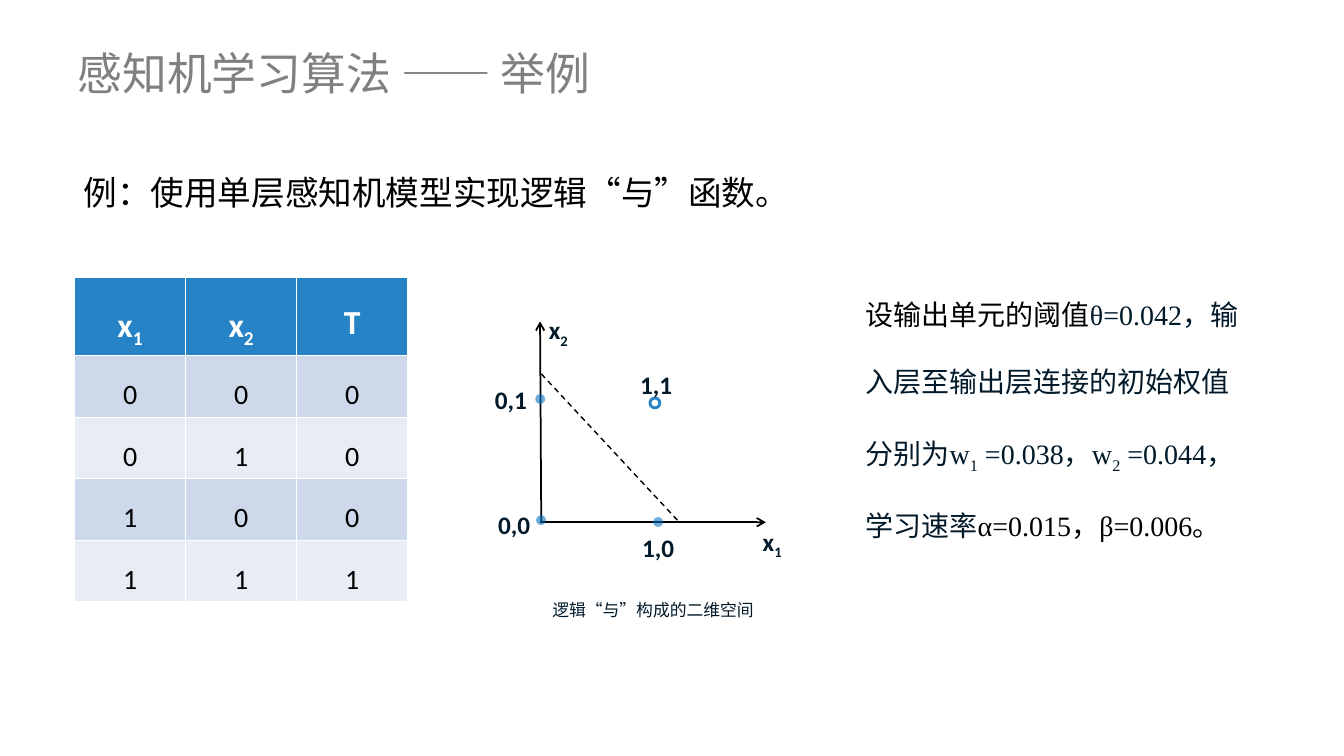
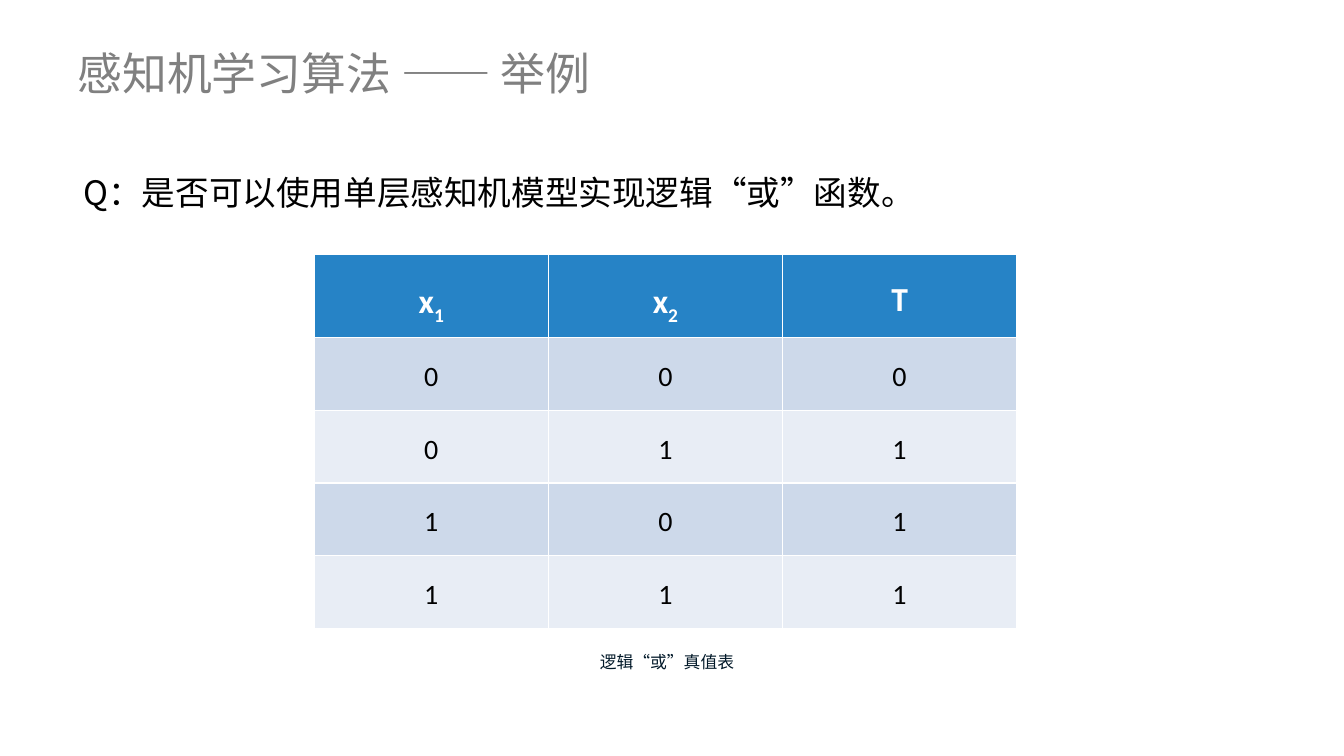
from dataclasses import dataclass
from typing import Any, NamedTuple, Optional

from lxml.etree import SubElement
from pptx import Presentation
from pptx.dml.color import RGBColor
from pptx.enum.dml import MSO_LINE
from pptx.enum.shapes import MSO_CONNECTOR, MSO_SHAPE
from pptx.enum.text import MSO_ANCHOR, MSO_AUTO_SIZE, PP_ALIGN
from pptx.oxml.ns import qn
from pptx.util import Cm, Pt

COLORS = {
    "title": "808080", "black": "000000", "white": "FFFFFF", "ink": "021929",
    "header": "2683C6", "band_dark": "CDD9EA", "band_light": "E8EDF5", "dot": "0070C0",
}
SANS = "Noto Sans CJK SC"
STYLES = {
    "title": {"name": SANS, "size": Pt(32), "color": "title"},
    "statement": {"name": SANS, "size": Pt(24), "color": "black"},
    "header": {"name": "Calibri", "size": Pt(24), "bold": True, "color": "white"},
    "cell": {"name": "Calibri", "size": Pt(20), "bold": False, "color": "black"},
    "label": {"name": "Calibri", "size": Pt(18), "bold": True, "color": "ink"},
    "caption": {"name": SANS, "size": Pt(12), "color": "ink"},
    "note": {"name": "Times New Roman", "size": Pt(20), "color": "ink"},
}


class Span(NamedTuple):
    text: str
    subscript: bool = False
    color: Optional[str] = None


class Area(NamedTuple):
    left: float
    top: float
    width: float
    height: float


@dataclass
class TruthTable:
    left: float
    top: float
    column_width: float
    header_height: float
    row_height: float
    outputs: tuple[int, ...]


@dataclass
class Label:
    spans: list[Span]
    left: float
    top: float
    width: float = 1.57


@dataclass
class Segment:
    start: tuple[float, float]
    end: tuple[float, float]
    width: float = 1.25
    arrow: bool = True


@dataclass
class Dot:
    left: float
    top: float
    filled: bool = True


def rgb(name: str) -> RGBColor:
    return RGBColor.from_string(COLORS[name])


def lengths(values: tuple[float, ...]) -> list[int]:
    return [Cm(value) for value in values]


def indexed(index: int) -> list[Span]:
    return [Span("x"), Span(str(index), subscript=True)]


# Text
def write(para: Any, spans: list[Span], style: str, spacing: float = 1.5,
          align: PP_ALIGN = PP_ALIGN.CENTER) -> None:
    formats = {"alignment": align, "line_spacing": spacing, "space_before": Pt(0)}
    for attribute, value in formats.items():
        setattr(para, attribute, value)
    for part in spans:
        span = para.add_run()
        span.text = part.text
        for attribute, value in STYLES[style].items():
            if attribute != "color":
                setattr(span.font, attribute, value)
        span.font.color.rgb = rgb(part.color or STYLES[style]["color"])
        if part.subscript:
            span._r.get_or_add_rPr().set("baseline", "-25000")


def add_text(shapes: Any, area: Area, spans: list[Span], style: str, spacing: float = 1.5,
             align: PP_ALIGN = PP_ALIGN.CENTER, side_margin: float = 0.25) -> None:
    frame = shapes.add_textbox(*lengths(area)).text_frame
    frame.word_wrap = True
    frame.margin_left = frame.margin_right = Cm(side_margin)
    write(frame.paragraphs[0], spans, style, spacing, align)


def add_caption(shapes: Any, left: float, top: float, text: str) -> None:
    add_text(shapes, Area(left, top, 5.84, 1), [Span(text)], "caption")


# Shared page: title and statement
def place(holder: Any, area: Area) -> Any:
    for attribute, value in zip(area._fields, lengths(area)):
        setattr(holder, attribute, value)
    holder.text_frame.auto_size = MSO_AUTO_SIZE.NONE
    return holder.text_frame.paragraphs[0]


def add_page(deck: Any, statement: str) -> Any:
    page = deck.slides.add_slide(deck.slide_layouts[1])
    title, body = page.shapes.title, page.placeholders[1]
    para = place(title, Area(1.7, 0.76, 30.48, 2.13))
    title.text_frame.vertical_anchor = MSO_ANCHOR.MIDDLE
    write(para, [Span("感知机学习算法 —— 举例")], "title", 1, PP_ALIGN.LEFT)

    para = place(body, Area(1.85, 3.18, 29.34, 2))
    properties = para._p.get_or_add_pPr()
    properties.set("marL", str(Cm(1.27)))
    properties.set("indent", str(-Cm(1.27)))
    SubElement(properties, qn("a:buNone"))
    write(para, [Span(statement)], "statement", 2, PP_ALIGN.LEFT)
    return page


# Truth table
def add_truth_table(page: Any, table: TruthTable) -> None:
    rows = [[indexed(1), indexed(2), [Span("T")]]]
    for number, output in enumerate(table.outputs):
        rows.append([[Span(str(value))] for value in (number // 2, number % 2, output)])
    height = table.header_height + table.row_height * len(table.outputs)
    area = (table.left, table.top, table.column_width * 3, height)
    grid = page.shapes.add_table(len(rows), 3, *lengths(area)).table
    for column in grid.columns:
        column.width = Cm(table.column_width)
    for number, row in enumerate(rows):
        grid.rows[number].height = Cm(table.row_height if number else table.header_height)
        band = "band_dark" if number % 2 else "band_light"
        for column, spans in enumerate(row):
            cell = grid.cell(number, column)
            cell.fill.solid()
            cell.fill.fore_color.rgb = rgb(band if number else "header")
            write(cell.text_frame.paragraphs[0], spans, "cell" if number else "header")


# Plane diagram
def add_segment(shapes: Any, segment: Segment) -> None:
    connector = shapes.add_connector(MSO_CONNECTOR.STRAIGHT,
                                     *lengths(segment.start + segment.end))
    connector.line.color.rgb = rgb("black")
    connector.line.width = Pt(segment.width)
    if segment.arrow:
        SubElement(connector.line._get_or_add_ln(), qn("a:tailEnd"), type="arrow")
    else:
        connector.line.dash_style = MSO_LINE.DASH
    SubElement(connector._element.spPr, qn("a:effectLst"))


def add_dot(shapes: Any, dot: Dot) -> None:
    shape = shapes.add_shape(MSO_SHAPE.OVAL, *lengths((dot.left, dot.top, 0.25, 0.25)))
    shape.shadow.inherit = False
    if dot.filled:
        shape.fill.solid()
        shape.fill.fore_color.rgb = rgb("dot")
        color = shape._element.spPr.find(qn("a:solidFill")).find(qn("a:srgbClr"))
        SubElement(color, qn("a:alpha"), val="57000")
        shape.line.fill.background()
    else:
        shape.fill.background()
        shape.line.color.rgb = rgb("header")
        shape.line.width = Pt(2)


def add_plane(page: Any) -> None:
    shapes = page.shapes.add_group_shape().shapes
    segments = [
        Segment((13.61, 13.16), (19.3, 13.16)),
        Segment((13.64, 13.13), (13.61, 8.1)),
        Segment((13.64, 9.42), (17.12, 13.16), width=1, arrow=False),
    ]
    dots = [Dot(16.46, 13.03), Dot(13.49, 9.93), Dot(13.51, 12.98),
            Dot(16.38, 10.03, filled=False)]
    labels = [
        Label(indexed(1), 18.95, 12.7, 1.02),
        Label(indexed(2), 13.56, 7.37, 1.02),
        Label([Span("0,1")], 12.09, 9.19),
        Label([Span("0,0")], 12.17, 12.32),
        Label([Span("1,1")], 15.75, 8.81),
        Label([Span("1,0")], 15.8, 12.9),
    ]
    for segment in segments:
        add_segment(shapes, segment)
    for dot in dots:
        add_dot(shapes, dot)
    for label in labels:
        area = Area(label.left, label.top, label.width, 1.3)
        add_text(shapes, area, label.spans, "label", side_margin=0)
    add_caption(shapes, 13.54, 14.73, "逻辑“与”构成的二维空间")


def add_and_page(deck: Any) -> None:
    page = add_page(deck, "例：使用单层感知机模型实现逻辑“与”函数。")
    add_truth_table(page, TruthTable(1.88, 6.99, 2.8, 1.94, 1.53, (0, 0, 0, 1)))
    add_plane(page)
    parameters = [
        Span("设输出单元的阈值", color="black"),
        Span("θ=0.042，输入层至输出层连接的初始权值分别为w"),
        Span("1", subscript=True),
        Span(" =0.038，w"),
        Span("2", subscript=True),
        Span(" =0.044，学习速率"),
        Span("α=0.015，β=0.006。", color="black"),
    ]
    add_text(page.shapes, Area(21.56, 6.53, 9.96, 6.83), parameters, "note", 2, PP_ALIGN.LEFT)


def add_or_page(deck: Any) -> None:
    page = add_page(deck, "Q：是否可以使用单层感知机模型实现逻辑“或”函数。")
    add_truth_table(page, TruthTable(7.92, 6.4, 5.9, 2.11, 1.83, (0, 1, 1, 1)))
    add_caption(page.shapes, 13.89, 16.05, "逻辑“或”真值表")


def main() -> None:
    deck = Presentation()
    deck.slide_width, deck.slide_height = Cm(33.87), Cm(19.05)
    add_and_page(deck)
    add_or_page(deck)
    deck.save("out.pptx")


if __name__ == "__main__":
    main()
